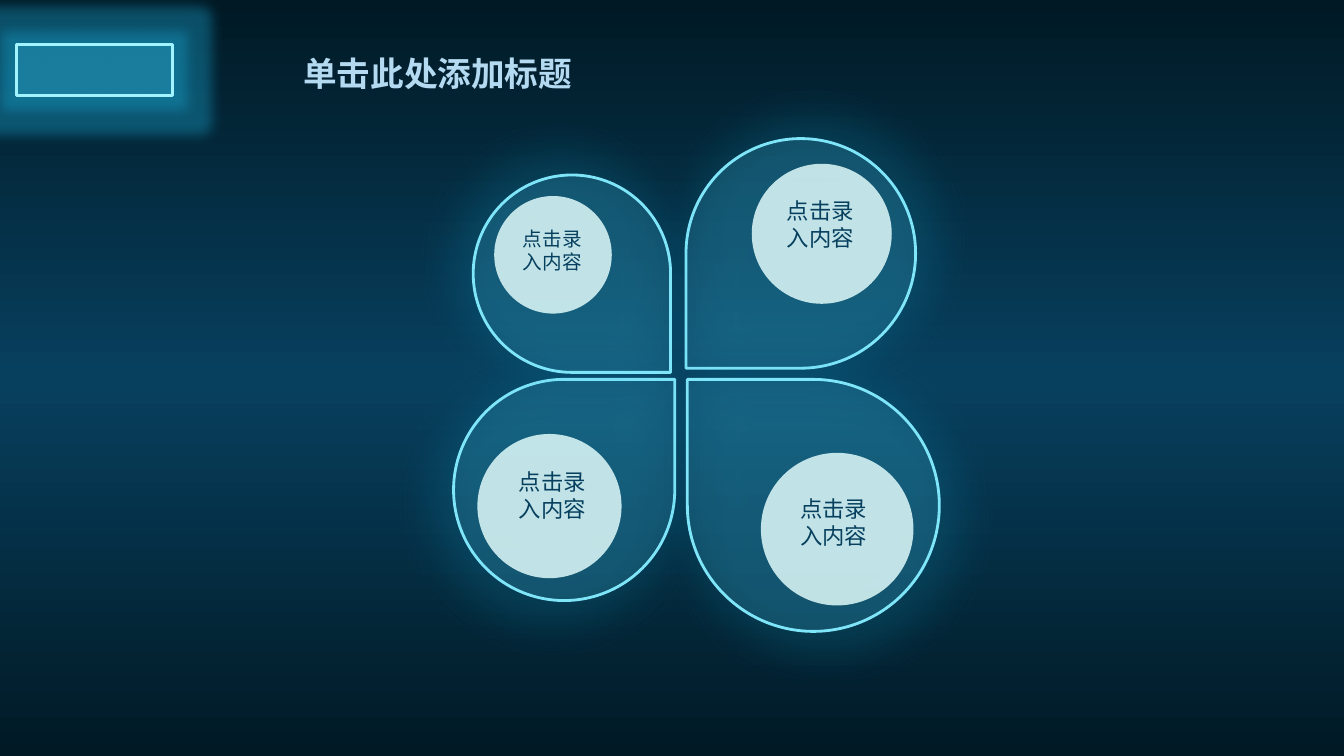
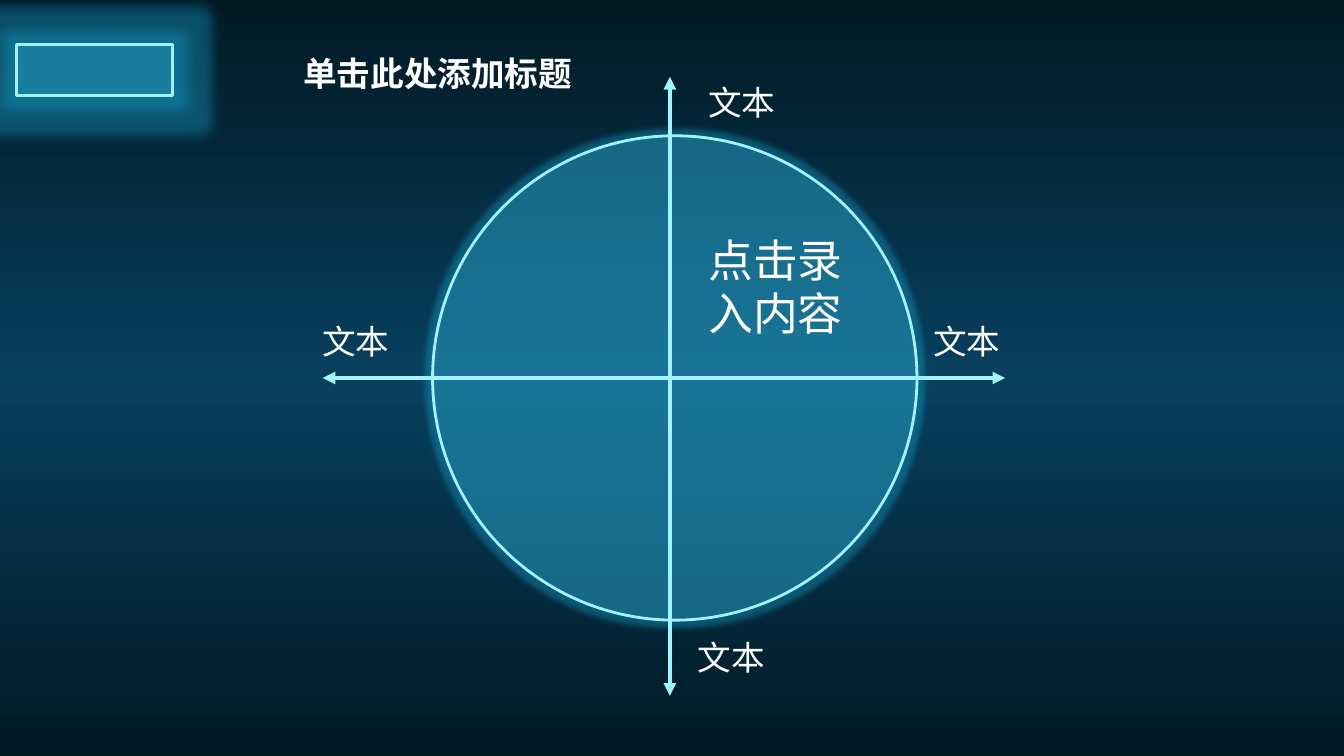
from lxml.etree import SubElement
from pptx import Presentation
from pptx.dml.color import RGBColor
from pptx.enum.shapes import MSO_CONNECTOR, MSO_SHAPE
from pptx.enum.text import MSO_ANCHOR, MSO_AUTO_SIZE, PP_ALIGN
from pptx.oxml import parse_xml
from pptx.oxml.ns import nsdecls, qn
from pptx.util import Pt

FONT = "Noto Sans CJK SC"
NIGHT = RGBColor(0x01, 0x19, 0x25)
NAVY = RGBColor(0x07, 0x40, 0x5E)
TEAL = RGBColor(0x45, 0xB1, 0xD2)
GLOW = RGBColor(0x19, 0xA0, 0xCA)
NEON = RGBColor(0xA0, 0xF3, 0xFF)
PETAL_EDGE = RGBColor(0x7F, 0xE6, 0xFA)
MIST = RGBColor(0xE5, 0xFF, 0xFE)
SKY = RGBColor(0xB4, 0xDA, 0xF1)
WHITE = RGBColor(0xFF, 0xFF, 0xFF)

TITLE = "单击此处添加标题"
CONTENT = ["点击录", "入内容"]


def add_effect(shape, kind, color, alpha, **attributes):
    """Give a shape one glow or shadow; alpha is in percent."""
    shape.shadow.inherit = False
    effects = shape._element.spPr.find(qn("a:effectLst"))
    settings = {name: str(value) for name, value in attributes.items()}
    effect = SubElement(effects, qn(f"a:{kind}"), settings)
    tint = SubElement(effect, qn("a:srgbClr"), val=str(color))
    SubElement(tint, qn("a:alpha"), val=str(alpha * 1000))


class Deck:
    """Holds the shared style and the current page."""

    def __init__(self):
        self.deck = Presentation()
        self.deck.slide_width, self.deck.slide_height = Pt(960), Pt(540)
        self.layout = self.deck.slide_layouts[5]
        self.page = None
        self.paint_background()

    def paint_background(self):
        fill = self.deck.slide_master.background.fill
        fill.gradient()
        fill.gradient_angle = 270
        first, last = fill.gradient_stops
        first.position, last.position = 0, 1
        first.color.rgb = last.color.rgb = NIGHT
        stops = self.deck.slide_master._element.find(f".//{qn('a:gsLst')}")
        stops.insert(1, parse_xml(
            f'<a:gs {nsdecls("a")} pos="50000"><a:srgbClr val="{NAVY}"/></a:gs>'))

    def add_page(self, color):
        is_first = self.page is None
        self.page = self.deck.slides.add_slide(self.layout)
        if is_first:
            self.add_corner_panel()
        box = self.page.shapes.title
        box.left, box.top, box.width, box.height = Pt(209.5), Pt(34), Pt(344), Pt(36)
        self.set_text(box, [TITLE], 24, color, PP_ALIGN.LEFT, bold=True)
        box.text_frame.word_wrap = True

    def add_corner_panel(self):
        """Draw the panel once and hand it to the layout."""
        panel = self.add_shape(self.page.shapes, MSO_SHAPE.RECTANGLE,
                               11.5, 32, 112, 36.5, TEAL, 20, NEON)
        add_effect(panel, "glow", GLOW, 40, rad=Pt(18))
        self.layout.shapes._spTree.insert(2, panel._element)

    def add_shape(self, shapes, kind, left, top, width, height, color, alpha, edge=None):
        shape = shapes.add_shape(kind, Pt(left), Pt(top), Pt(width), Pt(height))
        shape.shadow.inherit = False
        shape.fill.solid()
        shape.fill.fore_color.rgb = color
        tint = shape._element.spPr.find(f"{qn('a:solidFill')}/{qn('a:srgbClr')}")
        SubElement(tint, qn("a:alpha"), val=str(alpha * 1000))
        if edge is None:
            shape.line.fill.background()
        else:
            shape.line.color.rgb = edge
            shape.line.width = Pt(2)
        return shape

    def set_text(self, box, lines, size, color, align, bold=False):
        frame = box.text_frame
        frame.word_wrap = False
        frame.auto_size = MSO_AUTO_SIZE.NONE
        frame.vertical_anchor = MSO_ANCHOR.TOP
        for index, line in enumerate(lines):
            para = frame.add_paragraph() if index else frame.paragraphs[0]
            para.text = line
            para.alignment = align
            font = para.font
            font.name, font.size, font.bold = FONT, Pt(size), bold
            font.color.rgb = color
            SubElement(para._p.pPr.find(qn("a:defRPr")), qn("a:ea"), typeface=FONT)

    def add_text(self, shapes, center_x, center_y, lines, size, color):
        """Place a text box by its centre, sized from its lines."""
        width = size * max(map(len, lines)) + 15
        height = size * 1.2 * len(lines) + 7.5
        box = shapes.add_textbox(Pt(center_x - width / 2), Pt(center_y - height / 2),
                                 Pt(width), Pt(height))
        self.set_text(box, lines, size, color, PP_ALIGN.CENTER)

    def add_petal(self, petal, disc, label, size, rotation):
        """Group a glowing teardrop, its disc and its label."""
        shapes = self.page.shapes.add_group_shape().shapes
        left, top, side = petal
        drop = self.add_shape(shapes, MSO_SHAPE.TEAR, left, top, side, side,
                              TEAL, 20, PETAL_EDGE)
        drop.rotation = rotation
        # The shadow falls away from the tip of the teardrop.
        add_effect(drop, "outerShdw", GLOW, 90, blurRad=Pt(36), dist=Pt(12),
                   dir=(135 + rotation) % 360 * 60000, algn="ctr", rotWithShape=0)
        left, top, side = disc
        self.add_shape(shapes, MSO_SHAPE.OVAL, left, top, side, side, MIST, 83)
        self.add_text(shapes, *label, CONTENT, size, NAVY)

    def add_axis(self, *ends):
        axis = self.page.shapes.add_connector(MSO_CONNECTOR.STRAIGHT, *map(Pt, ends))
        axis.line.color.rgb = NEON
        axis.line.width = Pt(3)
        properties = axis._element.spPr
        for end in ("headEnd", "tailEnd"):
            SubElement(properties.find(qn("a:ln")), qn(f"a:{end}"), type="triangle")
        SubElement(properties, qn("a:effectLst"))


def add_petal_page(deck):
    deck.add_page(SKY)
    # Teardrop and disc as left, top, side; label centre; text size; rotation
    petals = [
        ((490, 99, 164), (537, 117, 100), (586, 160), 16, 180),
        ((324, 271, 158), (341, 310, 103), (394.5, 354), 16, 0),
        ((491, 271, 180), (543.5, 323.5, 109), (595.5, 373), 16, 270),
        ((338, 125, 141), (353, 140, 84), (394.5, 179), 14, 90),
    ]
    for petal in petals:
        deck.add_petal(*petal)


def add_axes_page(deck):
    deck.add_page(WHITE)
    shapes = deck.page.shapes
    circle = deck.add_shape(shapes, MSO_SHAPE.OVAL, 309, 97, 346, 346, TEAL, 20, NEON)
    add_effect(circle, "glow", GLOW, 40, rad=Pt(8))

    # Axes
    deck.add_axis(230.5, 270, 718, 270)
    deck.add_axis(478.5, 55, 478.5, 497)

    # Labels
    deck.add_text(shapes, 554, 204.5, CONTENT, 32, WHITE)
    for center in ((254, 244), (530, 73), (690.5, 244), (522.5, 469.5)):
        deck.add_text(shapes, *center, ["文本"], 24, WHITE)


def main():
    deck = Deck()
    add_petal_page(deck)
    add_axes_page(deck)
    deck.deck.save("out.pptx")


if __name__ == "__main__":
    main()
